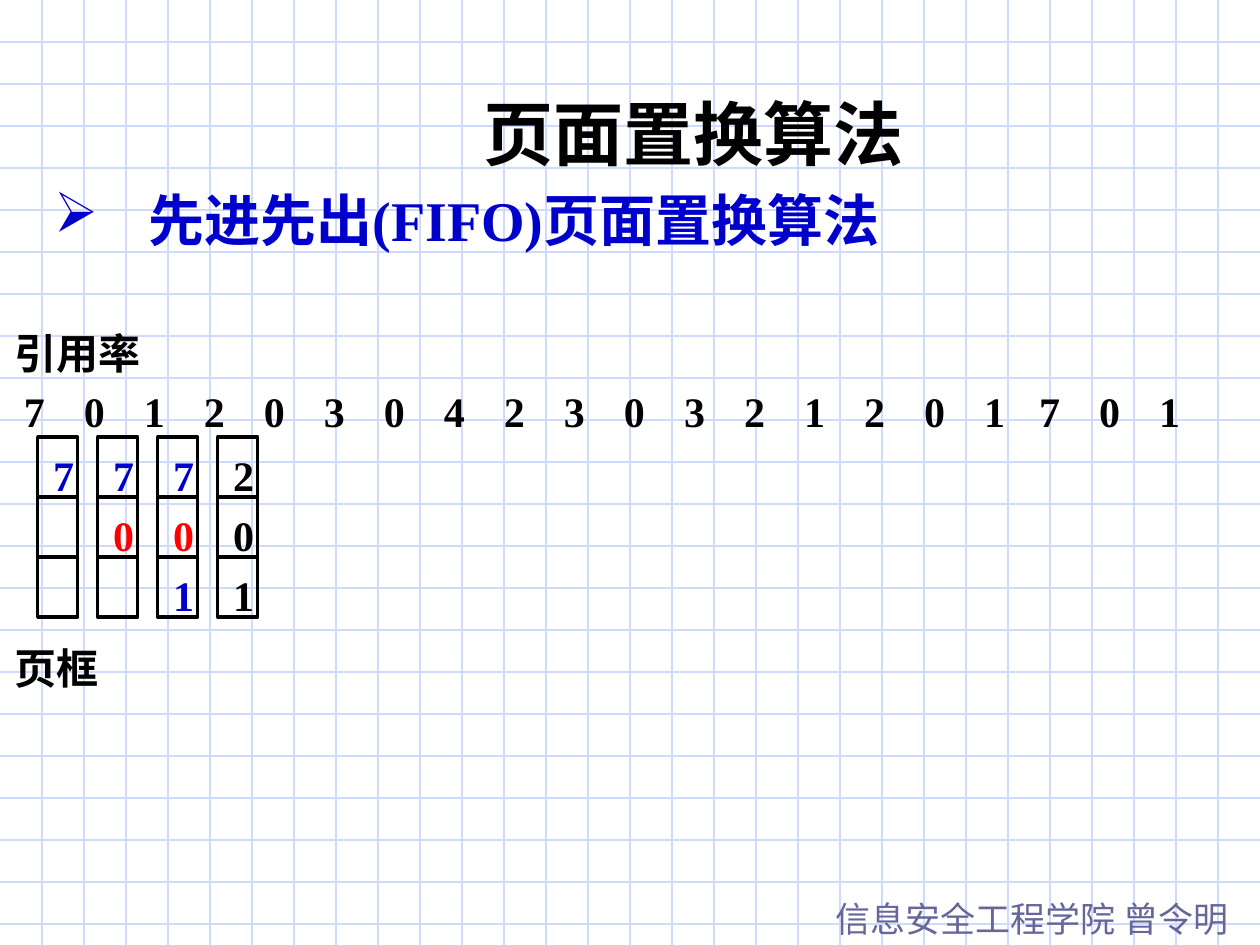
from dataclasses import dataclass

from lxml.etree import SubElement
from pptx import Presentation
from pptx.dml.color import RGBColor as RGB
from pptx.enum.shapes import MSO_CONNECTOR as Connector, MSO_SHAPE as Shape
from pptx.enum.text import MSO_ANCHOR as Anchor, MSO_AUTO_SIZE as AutoSize, PP_ALIGN as Align
from pptx.oxml.ns import qn
from pptx.util import Cm, Pt


@dataclass(frozen=True)
class Theme:
    black: RGB = RGB(0x00, 0x00, 0x00)
    blue: RGB = RGB(0x00, 0x00, 0xCC)
    red: RGB = RGB(0xFF, 0x00, 0x00)
    footer: RGB = RGB(0x66, 0x66, 0x99)
    grid: RGB = RGB(0xCF, 0xDB, 0xFD)
    latin: str = "Times New Roman"
    cjk: str = "Noto Sans CJK SC"
    cjk_alt: str = "Noto Sans CJK JP"
    title_size: int = 40
    heading_size: int = 32
    body_size: int = 24
    footer_size: int = 20


@dataclass(frozen=True)
class Style:
    size: int
    color: RGB
    font: str
    bold: bool = True


@dataclass(frozen=True)
class Frame:
    """Pages held in memory after one reference, top to bottom."""
    pages: str
    colors: tuple[RGB, ...]


T = Theme()
WIDTH, HEIGHT = 25.4, 19.05
GRID_STEP = 2.54 / 3
PITCH = 1.21  # between neighbouring references, frames and frame rows
REFERENCES = "70120304230321201701"
TAIL_START, TAIL_SHIFT = 17, -0.1  # the last references sit a little closer
PAGE_COLORS = (T.blue, T.red, T.blue)
FRAMES = (
    Frame("7", PAGE_COLORS),
    Frame("70", PAGE_COLORS),
    Frame("701", PAGE_COLORS),
    Frame("201", (T.black,) * 3),
)
DIGIT = Style(T.body_size, T.black, T.latin)
LABEL = Style(T.body_size, T.black, T.cjk)


def write(tf, text: str, style: Style):
    """Put one formatted paragraph in a text frame."""
    tf.text = text
    p = tf.paragraphs[0]
    p.space_before = Pt(0)
    r = p.runs[0]
    f = r.font
    f.size, f.bold, f.name = Pt(style.size), style.bold, style.font
    f.color.rgb = style.color
    ea = SubElement(r._r.get_or_add_rPr(), qn("a:ea"))
    ea.set("typeface", T.cjk if style.font == T.latin else style.font)
    return p


def add_text(s, x: float, y: float, w: float, h: float, text: str, style: Style,
             wrap: bool = True):
    sp = s.shapes.add_textbox(Cm(x), Cm(y), Cm(w), Cm(h))
    tf = sp.text_frame
    tf.word_wrap = wrap
    return write(tf, text, style)


def add_label(s, x: float, y: float, w: float, text: str, style: Style) -> None:
    """Tight one-line text without margins."""
    p = add_text(s, x, y, w, 1.02, text, style, wrap=False)
    tf = p._parent
    tf.auto_size = AutoSize.SHAPE_TO_FIT_TEXT
    tf.margin_left = tf.margin_right = tf.margin_top = tf.margin_bottom = 0


def add_grid_line(s, x1: float, y1: float, x2: float, y2: float) -> None:
    ln = s.shapes.add_connector(Connector.STRAIGHT, Cm(x1), Cm(y1), Cm(x2), Cm(y2))
    ln.line.color.rgb, ln.line.width = T.grid, Pt(0.75)
    SubElement(ln._element.spPr, qn("a:effectLst"))


def add_frame(s, column: int, frame: Frame) -> None:
    x = 0.76 + column * PITCH
    for row in range(3):
        sp = s.shapes.add_shape(Shape.RECTANGLE, Cm(x), Cm(8.81 + row * PITCH),
                                Cm(0.81), Cm(PITCH))
        sp.shadow.inherit = False
        sp.fill.background()
        sp.line.color.rgb, sp.line.width = T.black, Pt(1.75)
    for row, (page, color) in enumerate(zip(frame.pages, frame.colors)):
        add_label(s, x + 0.31, 9.07 + row * PITCH, 0.43, page,
                  Style(T.body_size, color, T.latin))


def main() -> None:
    prs = Presentation()
    prs.slide_width, prs.slide_height = Cm(WIDTH), Cm(HEIGHT)
    s = prs.slides.add_slide(prs.slide_layouts[5])
    title = s.shapes.title

    # Background grid
    for i in range(1, 23):
        add_grid_line(s, 0, i * GRID_STEP, WIDTH, i * GRID_STEP)
    for i in range(1, 30):
        add_grid_line(s, i * GRID_STEP, 0, i * GRID_STEP, HEIGHT)

    # Footer
    add_text(s, 16.59, 17.96, 8.81, 1.12, "信息安全工程学院 曾令明",
             Style(T.footer_size, T.footer, T.cjk_alt, bold=False))

    # Title, in front of the grid
    s.shapes._spTree.append(title._element)
    title.left, title.top, title.width, title.height = Cm(3.61), Cm(1.7), Cm(20.75), Cm(1.96)
    tf = title.text_frame
    tf.auto_size, tf.vertical_anchor = AutoSize.NONE, Anchor.MIDDLE
    write(tf, "页面置换算法", Style(T.title_size, T.black, T.cjk_alt)).alignment = Align.CENTER

    # Heading with an arrow bullet
    p = add_text(s, 0.84, 3.61, 23.5, 1.91, "先进先出(FIFO)页面置换算法",
                 Style(T.heading_size, T.blue, T.latin))
    p.alignment = Align.JUSTIFY
    pPr = p._p.get_or_add_pPr()
    pPr.set("marL", str(Cm(1.9)))
    pPr.set("indent", str(-Cm(1.9)))
    SubElement(SubElement(pPr, qn("a:buClr")), qn("a:srgbClr")).set("val", str(T.blue))
    SubElement(pPr, qn("a:buChar")).set("char", "➢")

    # Reference string
    add_label(s, 0.3, 6.6, 2.54, "引用率", LABEL)
    for i, page in enumerate(REFERENCES):
        shift = TAIL_SHIFT if i >= TAIL_START else 0
        add_label(s, 0.48 + i * PITCH + shift, 7.77, 0.43, page, DIGIT)

    # Page frames
    for column, frame in enumerate(FRAMES):
        add_frame(s, column, frame)
    add_label(s, 0.3, 12.95, 1.7, "页框", LABEL)

    prs.save("out.pptx")


if __name__ == "__main__":
    main()
